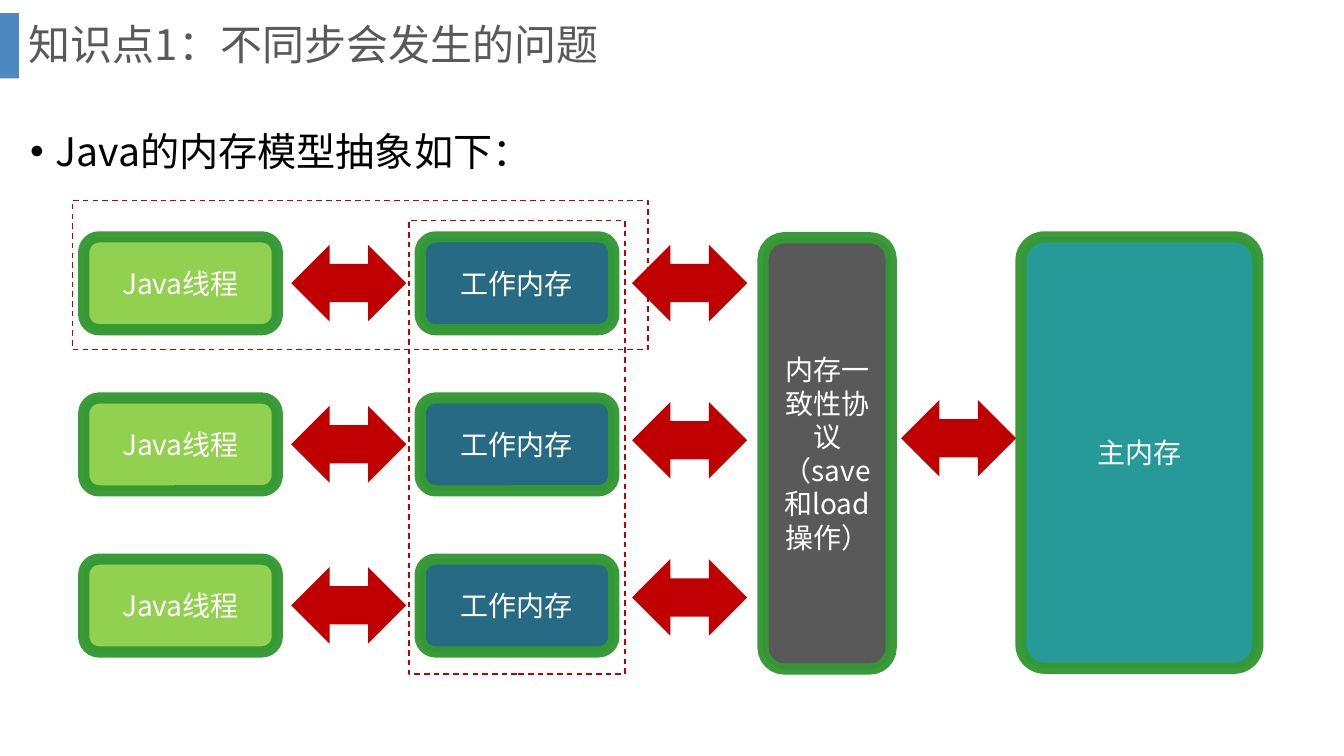
from dataclasses import dataclass

from pptx import Presentation
from pptx.dml.color import RGBColor
from pptx.enum.dml import MSO_LINE_DASH_STYLE as Dash
from pptx.enum.shapes import MSO_SHAPE as Shape
from pptx.enum.text import MSO_ANCHOR as Anchor, PP_ALIGN as Align
from pptx.oxml.ns import qn
from pptx.util import Cm, Pt
from lxml.etree import SubElement


@dataclass(frozen=True)
class Theme:
    font: str = "Noto Sans CJK SC"
    title_size: int = 30
    body_size: int = 28
    label_size: int = 20
    accent: str = "2E75B6"
    grey: str = "595959"
    black: str = "000000"
    white: str = "FFFFFF"
    border: str = "339933"
    red: str = "C00000"
    thread: str = "92D050"
    working: str = "276A83"
    main_memory: str = "269999"


THEME = Theme()


def set_opacity(fill, percent):
    """Make the solid colour of a fill or line partly transparent."""
    colour = fill._xPr.find(qn("a:solidFill"))[0]
    SubElement(colour, qn("a:alpha"), val=str(percent * 1000))


def style_text(para, size, colour):
    for span in para.runs:
        span.font.size = Pt(size)
        span.font.color.rgb = RGBColor.from_string(colour)
        span.font.name = THEME.font
        SubElement(span.font._element, qn("a:ea"), typeface=THEME.font)


def add_shape(page, kind, left, top, width, height, colour=None):
    shape = page.shapes.add_shape(kind, Cm(left), Cm(top), Cm(width), Cm(height))
    shape.shadow.inherit = False
    shape.line.fill.background()
    if colour:
        shape.fill.solid()
        shape.fill.fore_color.rgb = RGBColor.from_string(colour)
    else:
        shape.fill.background()
    return shape


def add_text(page, text, left, top, width, height, size, colour, spacing, anchor):
    box = page.shapes.add_textbox(Cm(left), Cm(top), Cm(width), Cm(height))
    frame = box.text_frame
    frame.word_wrap = True
    frame.vertical_anchor = anchor
    para = frame.paragraphs[0]
    para.text = text
    para.line_spacing = spacing
    style_text(para, size, colour)
    return para


def add_bullet(para):
    props = para._p.get_or_add_pPr()
    props.set("marL", str(Cm(0.64)))
    props.set("indent", str(-Cm(0.64)))
    SubElement(props, qn("a:buFont"), typeface="Arial")
    SubElement(props, qn("a:buChar"), char="•")


def add_block(page, text, left, top, width, height, colour):
    block = add_shape(page, Shape.ROUNDED_RECTANGLE, left, top, width, height, colour)
    block.line.color.rgb = RGBColor.from_string(THEME.border)
    block.line.width = Pt(8)
    set_opacity(block.line.fill, 96)
    frame = block.text_frame
    frame.word_wrap = True
    frame.vertical_anchor = Anchor.MIDDLE
    para = frame.paragraphs[0]
    para.text = text
    para.alignment = Align.CENTER
    style_text(para, THEME.label_size, THEME.white)
    return block


def add_arrow(page, left, top):
    add_shape(page, Shape.LEFT_RIGHT_ARROW, left, top, 2.9, 1.93, THEME.red)


def add_dashed_frame(page, left, top, width, height):
    frame = add_shape(page, Shape.RECTANGLE, left, top, width, height)
    frame.line.color.rgb = RGBColor.from_string(THEME.red)
    frame.line.width = Pt(1)
    frame.line.dash_style = Dash.DASH


def main():
    deck = Presentation()
    deck.slide_width, deck.slide_height = Cm(33.87), Cm(19.05)
    page = deck.slides.add_slide(deck.slide_layouts[6])

    # Title and lead sentence
    marker = add_shape(page, Shape.RECTANGLE, 0, 0.33, 0.48, 1.65, THEME.accent)
    set_opacity(marker.fill, 85)
    add_text(page, "知识点1：不同步会发生的问题", 0.48, 0, 32.16, 2.36,
             THEME.title_size, THEME.grey, 0.9, Anchor.MIDDLE)
    lead = add_text(page, "Java的内存模型抽象如下：", 0.51, 2.49, 32.77, 15.14,
                    THEME.body_size, THEME.black, 1.5, Anchor.TOP)
    add_bullet(lead)

    # Three threads, each with its working memory
    first_row, row_pitch = 5.97, 4.06
    for row in range(3):
        top = first_row + row * row_pitch
        add_block(page, "Java线程", 2.11, top, 4.88, 2.34, THEME.thread)
        add_block(page, "工作内存", 10.59, top, 4.88, 2.34, THEME.working)
        add_arrow(page, 7.34, top + 0.2)

    # Frames around the working memories and the first thread
    add_dashed_frame(page, 10.31, 5.56, 5.44, 11.43)
    add_dashed_frame(page, 1.83, 5.05, 14.5, 3.76)

    # Coherence protocol and main memory
    add_block(page, "内存一致性协议（save和load操作）", 19.23, 5.99, 3.23, 10.87, THEME.grey)
    main_memory = add_block(page, "主内存", 25.73, 5.97, 5.97, 10.87, THEME.main_memory)
    main_memory.adjustments[0] = 0.1

    # Arrows to the protocol and on to main memory
    for row in range(3):
        add_arrow(page, 15.93, 6.17 + row * 3.96)
    add_arrow(page, 22.71, 10.08)

    deck.save("out.pptx")


if __name__ == "__main__":
    main()
